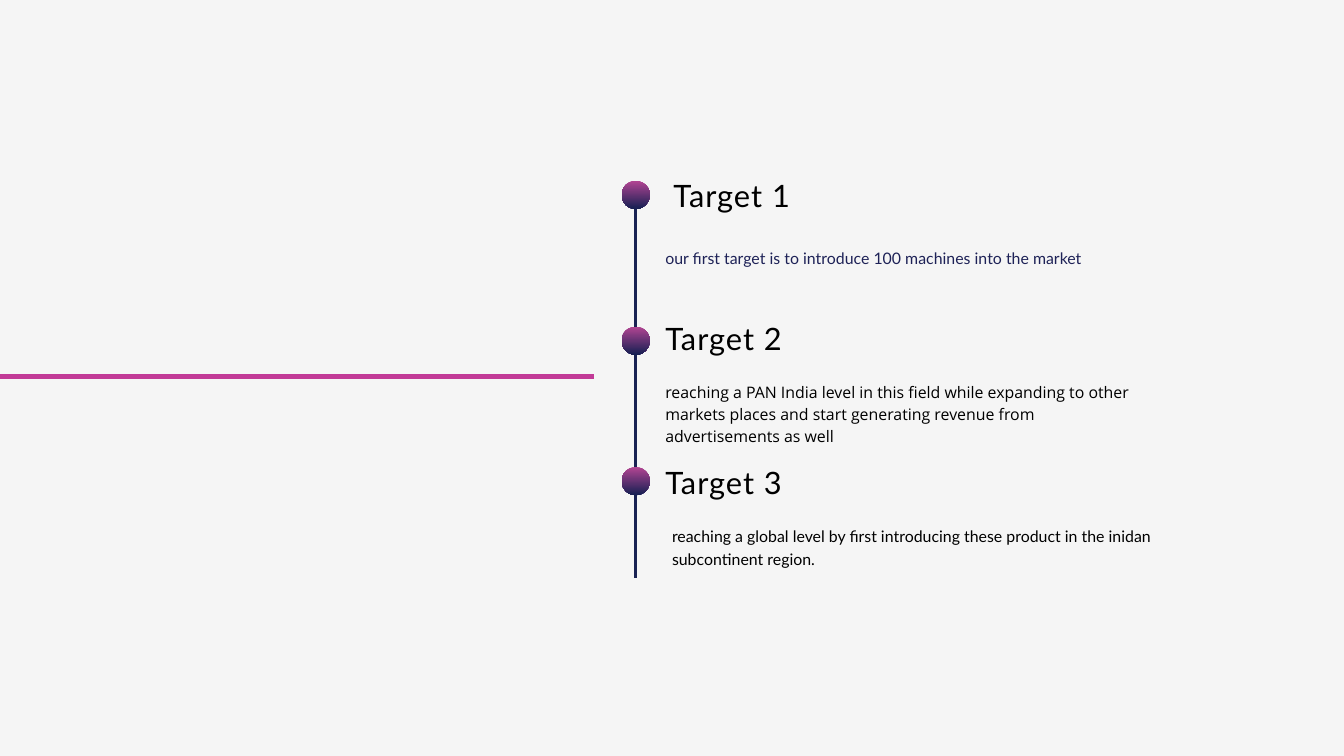
from lxml.etree import SubElement
from pptx import Presentation
from pptx.dml.color import RGBColor
from pptx.enum.shapes import MSO_CONNECTOR, MSO_SHAPE
from pptx.enum.text import PP_ALIGN
from pptx.oxml.ns import qn
from pptx.util import Inches, Pt

AXIS = 9.46
LEFT = 9.9


def color(value):
    return RGBColor.from_string(value)


def add_line(slide, start, end, tint, width):
    line = slide.shapes.add_connector(
        MSO_CONNECTOR.STRAIGHT, *map(Inches, (*start, *end)))
    line.line.color.rgb = color(tint)
    line.line.width = Pt(width)
    SubElement(line._element.spPr, qn("a:effectLst"))


def add_dot(slide, middle, size=0.42):
    dot = slide.shapes.add_shape(
        MSO_SHAPE.OVAL, Inches(AXIS - size / 2), Inches(middle - size / 2),
        Inches(size), Inches(size))
    dot.shadow.inherit = False
    dot.line.fill.background()
    dot.fill.gradient()
    dot.fill.gradient_angle = 270
    for stop, tint in zip(dot.fill.gradient_stops, ("B34593", "151F52")):
        stop.color.rgb = color(tint)


def add_text(slide, text, left, top, width, height, size=17, font="Lato",
             tint="000000", lead=25, align=PP_ALIGN.LEFT, track=0):
    box = slide.shapes.add_textbox(*map(Inches, (left, top, width, height)))
    frame = box.text_frame
    frame.word_wrap = True
    frame.margin_left = frame.margin_right = 0
    frame.margin_top = frame.margin_bottom = 0
    para = frame.paragraphs[0]
    para.alignment = align
    para.line_spacing = Pt(lead)
    run = para.add_run()
    run.text = text
    run.font.size = Pt(size)
    run.font.name = font
    run.font.color.rgb = color(tint)
    if track:
        run._r.get_or_add_rPr().set("spc", str(round(track * 100)))


def add_title(slide, text, left, top):
    add_text(slide, text, left, top, 5.75, 0.53, size=33, lead=36.3,
             align=PP_ALIGN.JUSTIFY, track=1.1)


def main():
    deck = Presentation()
    deck.slide_width, deck.slide_height = Inches(20), Inches(11.25)
    slide = deck.slides.add_slide(deck.slide_layouts[6])
    slide.background.fill.solid()
    slide.background.fill.fore_color.rgb = color("F5F5F5")

    # Timeline and accent rule
    add_line(slide, (AXIS, 8.6), (AXIS, 2.9), "192253", 3)
    add_line(slide, (0, 5.6), (8.84, 5.6), "C23A97", 6)

    # Dots and headings
    heads = [("Target 1", 2.9, LEFT + 0.12, 2.67),
             ("Target 2", 5.07, LEFT, 4.81),
             ("Target 3", 7.16, LEFT, 6.95)]
    for text, middle, left, top in heads:
        add_dot(slide, middle)
        add_title(slide, text, left, top)

    # Descriptions
    add_text(slide,
             "our first target is to introduce 100 machines into the market",
             LEFT, 3.64, 7.68, 0.32, tint="1E2257")
    add_text(slide,
             "reaching a PAN India level in this field while expanding to "
             "other markets places and start generating revenue from "
             "advertisements as well",
             LEFT, 5.64, 7.08, 0.95, font="Open Sans", lead=23.8)
    add_text(slide,
             "reaching a global level by first introducing these product in "
             "the inidan subcontinent region.",
             10, 7.77, 7.68, 0.67)

    deck.save("out.pptx")


if __name__ == "__main__":
    main()
